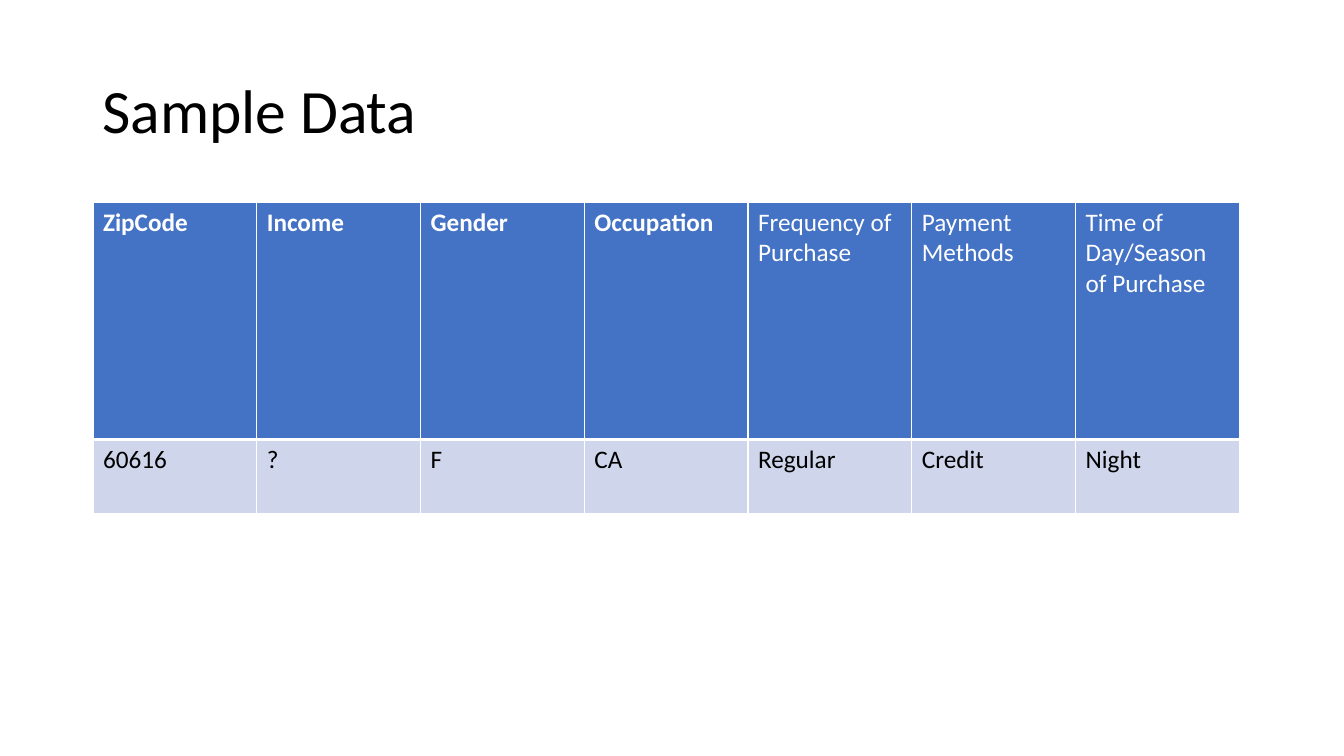
from lxml import etree
from pptx import Presentation
from pptx.dml.color import RGBColor
from pptx.enum.text import MSO_ANCHOR
from pptx.oxml.ns import qn
from pptx.util import Pt

MIDDLE = MSO_ANCHOR.MIDDLE
FONT = "Calibri"
WHITE, BLACK = "FFFFFF", "000000"
HEADER_FILL, BODY_FILL = "4472C4", "CFD5EA"


def style_text(paragraph, size, color, bold=False):
    font = paragraph.runs[0].font
    font.name, font.size, font.bold = FONT, Pt(size), bold
    font.color.rgb = RGBColor.from_string(color)


def set_borders(cell, widths):
    properties = cell._tc.get_or_add_tcPr()
    for position, (side, width) in enumerate(widths.items()):
        line = etree.Element(qn("a:" + side), w=str(Pt(width)))
        fill = etree.SubElement(line, qn("a:solidFill"))
        etree.SubElement(fill, qn("a:srgbClr"), val=WHITE)
        properties.insert(position, line)


prs = Presentation()
prs.slide_width, prs.slide_height = Pt(960), Pt(540)
slide = prs.slides.add_slide(prs.slide_layouts[6])

title = slide.shapes.add_textbox(Pt(66), Pt(28.75), Pt(828), Pt(104.4)).text_frame
title.word_wrap = True
title.vertical_anchor = MIDDLE
title.text = "Sample Data"
title.paragraphs[0].line_spacing = 0.9
style_text(title.paragraphs[0], 44, BLACK)

fields = [
    ("ZipCode", "60616", True),
    ("Income", "?", True),
    ("Gender", "F", True),
    ("Occupation", "CA", True),
    ("Frequency of Purchase", "Regular", False),
    ("Payment Methods", "Credit", False),
    ("Time of Day/Season of Purchase", "Night", False),
]
header_height, record_height = 169.6, 53
customers = slide.shapes.add_table(
    2, len(fields), Pt(66.4), Pt(144.4), Pt(819), Pt(header_height + record_height)
).table
customers.rows[0].height = Pt(header_height)
customers.rows[1].height = Pt(record_height)

for column, (heading, value, bold_heading) in enumerate(fields):
    customers.columns[column].width = Pt(117)
    entries = [
        (heading, HEADER_FILL, WHITE, bold_heading, 1, 3),
        (value, BODY_FILL, BLACK, False, 3, 1),
    ]
    for row, (text, fill, color, bold, top, bottom) in enumerate(entries):
        cell = customers.cell(row, column)
        cell.text = text
        style_text(cell.text_frame.paragraphs[0], 18, color, bold)
        cell.fill.solid()
        cell.fill.fore_color.rgb = RGBColor.from_string(fill)
        set_borders(cell, {"lnL": 1, "lnR": 1, "lnT": top, "lnB": bottom})

prs.save("out.pptx")
